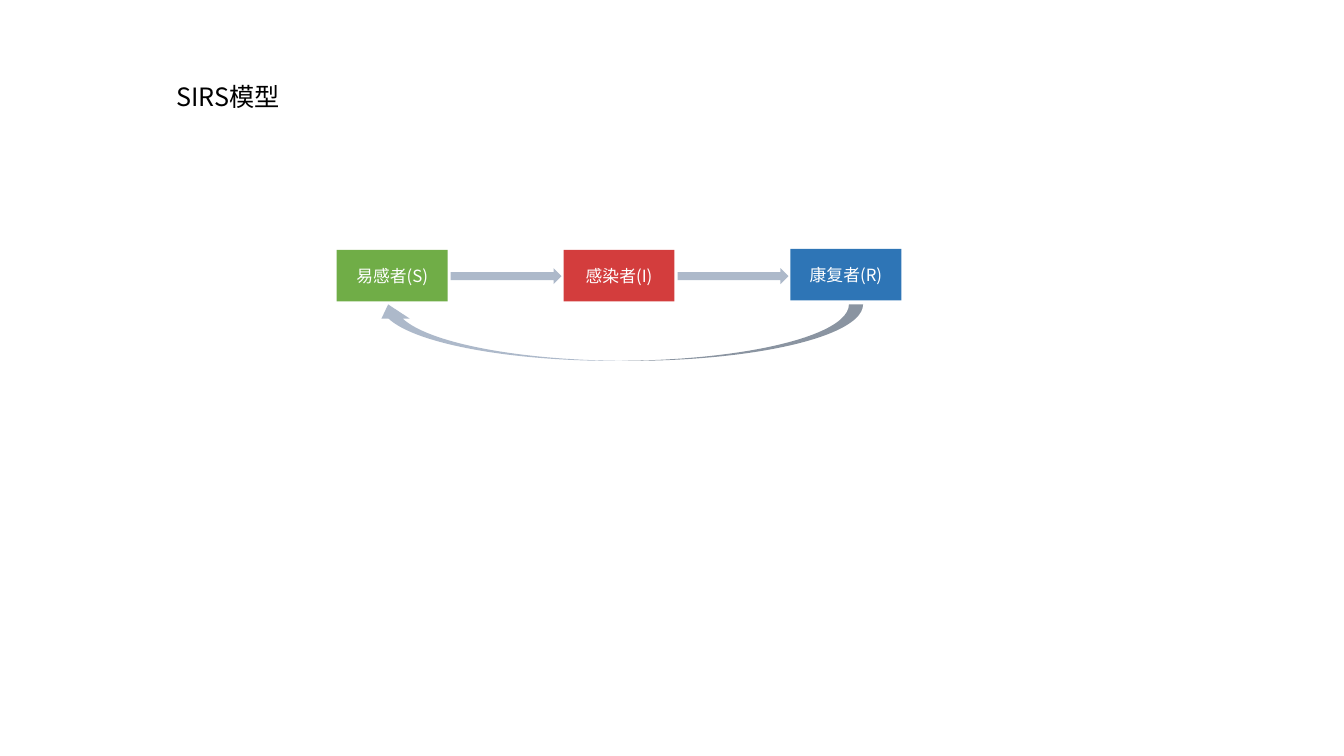
import pptx
import pptx.dml.color
import pptx.enum.shapes
import pptx.enum.text
import pptx.oxml.ns
import pptx.util
from lxml import etree

Inches = pptx.util.Inches
RGBColor = pptx.dml.color.RGBColor
SHAPES = pptx.enum.shapes.MSO_SHAPE

FONT = "Noto Sans CJK SC"
BLACK = RGBColor(0x00, 0x00, 0x00)
WHITE = RGBColor(0xFF, 0xFF, 0xFF)
GREEN = RGBColor(0x70, 0xAD, 0x47)
RED = RGBColor(0xD3, 0x3D, 0x3D)
BLUE = RGBColor(0x2E, 0x75, 0xB6)
ARROW_GRAY = RGBColor(0xAD, 0xB9, 0xCA)

STAGES = [
    ("易感者(S)", GREEN, 0.01),
    ("感染者(I)", RED, 0.01),
    ("康复者(R)", BLUE, 0),
]
STAGE_WIDTH, STAGE_HEIGHT, STAGE_PITCH = 1.1, 0.51, 2.25
ARROW_HEIGHT, ARROW_GAP = 0.16, 0.03


def add_text(paragraph, text, size, color):
    run = paragraph.add_run()
    run.text = text
    run.font.name = FONT
    run.font.size = pptx.util.Pt(size)
    run.font.color.rgb = color
    east_asian = etree.SubElement(run.font._element, pptx.oxml.ns.qn("a:ea"))
    east_asian.set("typeface", FONT)


def add_filled_shape(slide, kind, left, top, width, height, color):
    shape = slide.shapes.add_shape(
        kind, Inches(left), Inches(top), Inches(width), Inches(height)
    )
    shape.shadow.inherit = False
    shape.fill.solid()
    shape.fill.fore_color.rgb = color
    shape.line.fill.background()
    return shape


def add_title(slide, left, top, width, height):
    title = slide.shapes.add_textbox(
        Inches(left), Inches(top), Inches(width), Inches(height)
    )
    frame = title.text_frame
    frame.word_wrap = True
    frame.auto_size = pptx.enum.text.MSO_AUTO_SIZE.SHAPE_TO_FIT_TEXT
    add_text(frame.paragraphs[0], "SIRS模型", 18, BLACK)


def add_stage(slide, left, top, label, color):
    stage = add_filled_shape(
        slide, SHAPES.RECTANGLE, left, top, STAGE_WIDTH, STAGE_HEIGHT, color
    )
    frame = stage.text_frame
    frame.vertical_anchor = pptx.enum.text.MSO_ANCHOR.MIDDLE
    paragraph = frame.paragraphs[0]
    paragraph.alignment = pptx.enum.text.PP_ALIGN.CENTER
    add_text(paragraph, label, 12, WHITE)


def add_return_arrow(slide, left, top, width, height):
    center_x, center_y = left + width / 2, top + height / 2
    arrow = add_filled_shape(
        slide, SHAPES.CURVED_RIGHT_ARROW,
        center_x - height / 2, center_y - width / 2, height, width, ARROW_GRAY,
    )
    arrow.rotation = 90
    arrow._element.spPr.xfrm.set("flipH", "1")


def add_cycle(slide, left, top):
    for index, (label, color, drop) in enumerate(STAGES):
        stage_left = left + index * STAGE_PITCH
        add_stage(slide, stage_left, top + drop, label, color)
        if index < len(STAGES) - 1:
            add_filled_shape(
                slide, SHAPES.RIGHT_ARROW,
                stage_left + STAGE_WIDTH + ARROW_GAP, top + 0.19,
                STAGE_WIDTH, ARROW_HEIGHT, ARROW_GRAY,
            )
    add_return_arrow(slide, left + 0.37, top + 0.55, 4.85, 0.56)


def main():
    presentation = pptx.Presentation()
    presentation.slide_width = Inches(13.33)
    presentation.slide_height = Inches(7.5)
    slide = presentation.slides.add_slide(presentation.slide_layouts[6])
    add_title(slide, 1.65, 0.76, 9.55, 0.4)
    add_cycle(slide, 3.34, 2.47)
    presentation.save("out.pptx")


if __name__ == "__main__":
    main()
